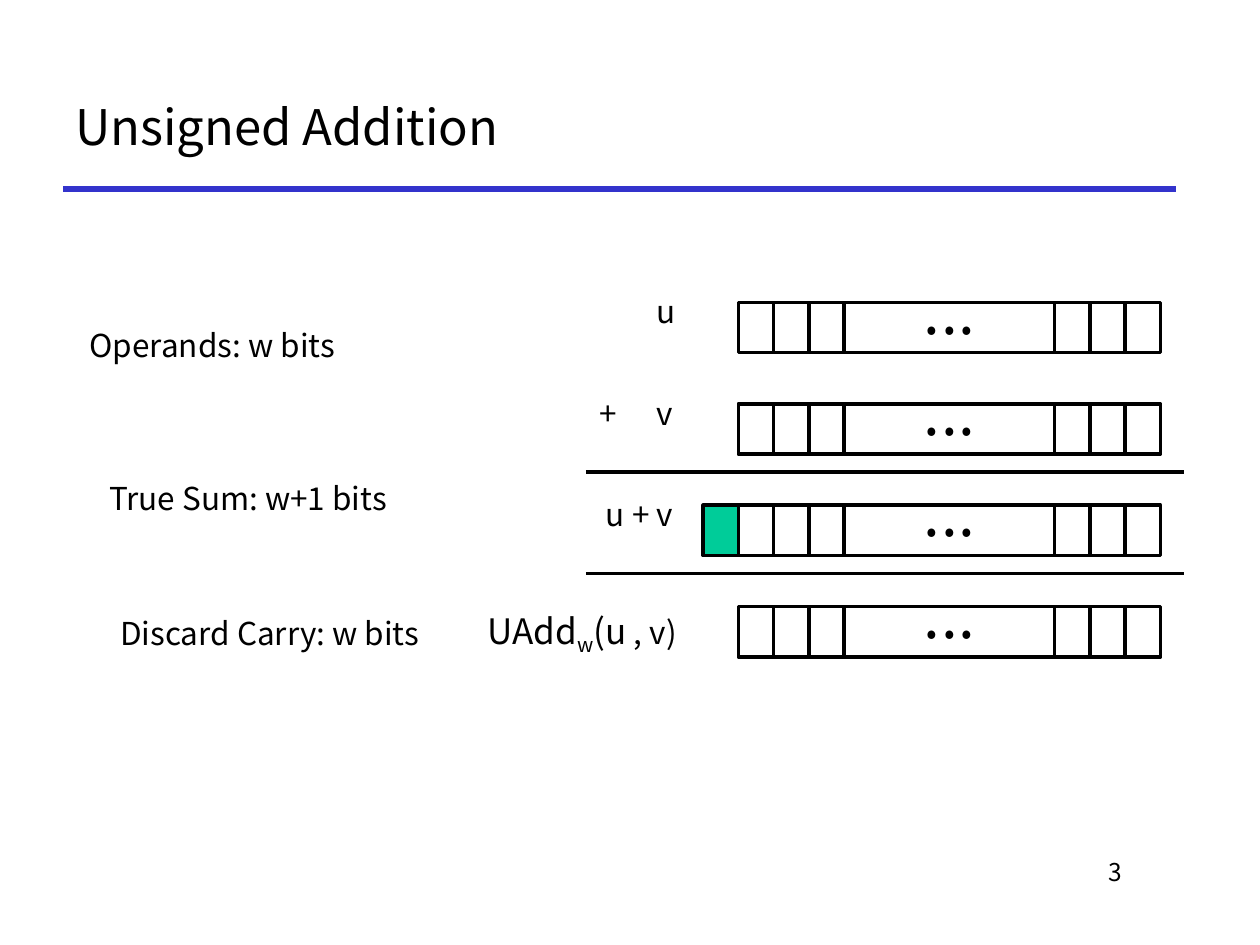
from lxml import etree
from pptx import Presentation
from pptx.dml.color import RGBColor
from pptx.enum.shapes import MSO_CONNECTOR as Connector, MSO_SHAPE as Shape
from pptx.enum.text import MSO_ANCHOR as Anchor, PP_ALIGN as Align
from pptx.oxml.ns import qn
from pptx.util import Inches, Pt

BLACK = RGBColor(0x00, 0x00, 0x00)
WHITE = RGBColor(0xFF, 0xFF, 0xFF)
BLUE = RGBColor(0x33, 0x33, 0xCC)
GREEN = RGBColor(0x00, 0xCC, 0x99)
FONT = "Noto Sans CJK KR"
BIT_WIDTH, BIT_HEIGHT, WORD_WIDTH = 0.28, 0.4, 3.35
ROW_STEP = 0.805
DOTS = "\u00a0".join("\u2022" * 3)


def add_run(paragraph, text, size, baseline=0):
    run = paragraph.add_run()
    run.text = text
    run.font.name = FONT
    run.font.size = Pt(size)
    run.font.color.rgb = BLACK
    if baseline:
        run.font._element.set("baseline", str(baseline))


def fill_frame(shape, runs, align, anchor, wrap):
    frame = shape.text_frame
    frame.word_wrap = wrap
    frame.vertical_anchor = anchor
    paragraph = frame.paragraphs[0]
    paragraph.alignment = align
    for run in runs:
        add_run(paragraph, *run)


def add_text(slide, box, runs, align=Align.CENTER, anchor=Anchor.TOP, wrap=False):
    shape = slide.shapes.add_textbox(*map(Inches, box))
    fill_frame(shape, runs, align, anchor, wrap)


def add_rule(slide, left, top, width, color=BLACK, weight=2):
    line = slide.shapes.add_connector(
        Connector.STRAIGHT, Inches(left), Inches(top), Inches(left + width), Inches(top))
    line.line.color.rgb = color
    line.line.width = Pt(weight)
    etree.SubElement(line._element.spPr, qn("a:effectLst"))


def add_cell(slide, left, top, width, color=WHITE):
    shape = slide.shapes.add_shape(
        Shape.RECTANGLE, Inches(left), Inches(top), Inches(width), Inches(BIT_HEIGHT))
    shape.shadow.inherit = False
    shape.fill.solid()
    shape.fill.fore_color.rgb = color
    shape.line.color.rgb = BLACK
    shape.line.width = Pt(2)
    return shape


def add_word(slide, left, top, carry=False):
    for bit in range(3):
        add_cell(slide, left + bit * BIT_WIDTH, top, BIT_WIDTH)
        add_cell(slide, left + WORD_WIDTH - (3 - bit) * BIT_WIDTH, top, BIT_WIDTH)
    middle = add_cell(slide, left + 3 * BIT_WIDTH, top, WORD_WIDTH - 6 * BIT_WIDTH)
    fill_frame(middle, [(DOTS, 18)], Align.CENTER, Anchor.MIDDLE, False)
    if carry:
        add_cell(slide, left - BIT_WIDTH, top, BIT_WIDTH, GREEN)


def add_header(slide, left, top, width, height):
    add_rule(slide, left, top + height, width, BLUE, 3)
    add_text(slide, (left, top, width, height), [("Unsigned Addition", 28)],
             Align.LEFT, Anchor.MIDDLE, True)


def add_descriptions(slide, left, top):
    for text, indent, offset, width in [
        ("Operands: w bits", 0, 0, 2.17),
        ("True Sum: w+1 bits", 0.05, 1.21, 2.64),
        ("Discard Carry: w bits", 0.05, 2.28, 2.98),
    ]:
        add_text(slide, (left + indent, top + offset, width, 0.41), [(text, 18)], wrap=True)


def add_sum(slide, left, top):
    for row in range(4):
        add_word(slide, left + 2.16, top + row * ROW_STEP, carry=row == 2)
    for row in (1, 2):
        add_rule(slide, left + 0.95, top + 0.54 + row * ROW_STEP, 4.75)
    result = [("UAdd", 20), ("w", 20, -25000), ("(u", 20), (" , v)", 18)]
    for runs, offset, row, drop, width, align in [
        ([("u", 18)], 1.41, 0, -0.13, 0.34, Align.CENTER),
        ([("v", 18)], 1.41, 1, -0.13, 0.33, Align.CENTER),
        ([("+", 18)], 0.95, 1, -0.13, 0.36, Align.CENTER),
        ([("u + v", 18)], 0.96, 2, -0.13, 0.78, Align.RIGHT),
        (result, 0, 3, -0.03, 1.77, Align.RIGHT),
    ]:
        box = (left + offset, top + row * ROW_STEP + drop, width, 0.41)
        add_text(slide, box, runs, align)


def add_page_number(slide, left, top, width, height):
    add_text(slide, (left, top, width, height), [("3", 14)], Align.RIGHT, wrap=True)


presentation = Presentation()
presentation.slide_width = Inches(10)
presentation.slide_height = Inches(7.5)
slide = presentation.slides.add_slide(presentation.slide_layouts[6])
add_header(slide, 0.5, 0.5, 8.83, 1)
add_sum(slide, 3.7, 2.4)
add_descriptions(slide, 0.6, 2.54)
add_page_number(slide, 7.58, 6.75, 1.42, 0.5)
presentation.save("out.pptx")
